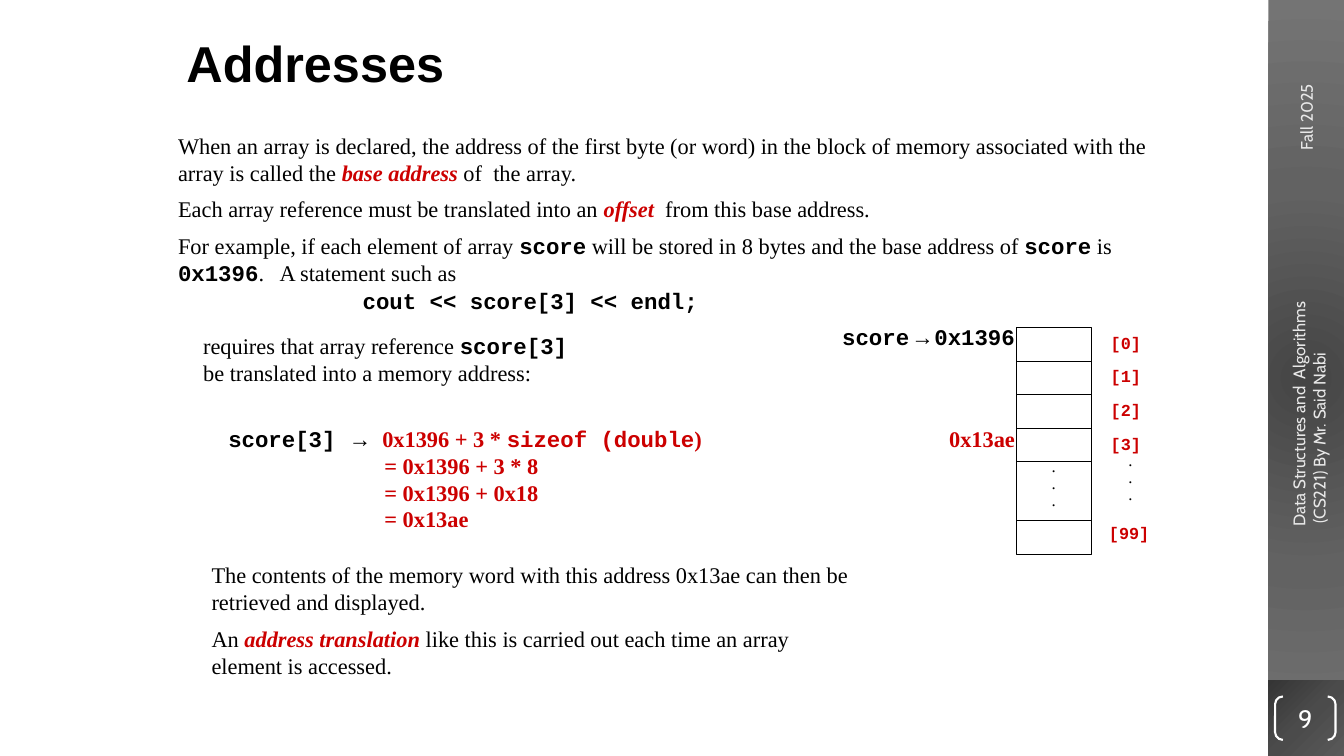
import pptx
import pptx.dml.color
import pptx.enum.shapes
import pptx.enum.text
import pptx.oxml
import pptx.oxml.ns
import pptx.util

Pt = pptx.util.Pt
Align = pptx.enum.text.PP_ALIGN
Anchor = pptx.enum.text.MSO_ANCHOR
Shape = pptx.enum.shapes.MSO_SHAPE

BLACK, RED, WHITE, PALE = "000000", "CC0000", "FFFFFF", "E8E8E8"
PLAIN = {"name": "Times New Roman", "size": Pt(16), "bold": False, "italic": False, "colour": BLACK}
CODE = {**PLAIN, "name": "Courier New", "bold": True}
TERM = {**PLAIN, "bold": True, "italic": True, "colour": RED}
RESULT = {**PLAIN, "bold": True, "colour": RED}
RESULT_CODE = {**CODE, "colour": RED}
INDEX = {**RESULT_CODE, "size": Pt(12)}
DOT = {**PLAIN, "size": Pt(12)}
ARROW = {**PLAIN, "name": "Arial"}
HEADING = {**PLAIN, "name": "Arial", "size": Pt(36), "bold": True}
SIDE = {**PLAIN, "name": "Cabin", "size": Pt(12), "colour": PALE}
NUMBER = {**SIDE, "size": Pt(18), "colour": WHITE}

CELL_LEFT, CELL_WIDTH, CELL_HEIGHT = 726, 54, 24
MEMORY_TOP, MEMORY_HEIGHT = 234, 162


def colour(value):
    return pptx.dml.color.RGBColor.from_string(value)


def place(box, left, top, width, height):
    for name, value in {"left": left, "top": top, "width": width, "height": height}.items():
        setattr(box, name, Pt(value))


def write(frame, paragraphs, align=Align.LEFT, gap=0, margins=None):
    frame.word_wrap = True
    for position, spans in enumerate(paragraphs):
        para = frame.paragraphs[0] if position == 0 else frame.add_paragraph()
        properties = para._p.get_or_add_pPr()
        properties.set("marL", str(Pt(margins[position] if margins else 0)))
        properties.set("indent", "0")
        properties.append(pptx.oxml.parse_xml(f"<a:buNone {pptx.oxml.ns.nsdecls('a')}/>"))
        para.alignment = align
        para.space_before = Pt(gap if position else 0)
        for text, style in spans:
            if text == "\n":
                para.add_line_break()
                continue
            span = para.add_run()
            span.text = text
            for name, value in style.items():
                if name == "colour":
                    span.font.color.rgb = colour(value)
                else:
                    setattr(span.font, name, value)


def fill_placeholder(box, area, paragraphs, gap=0):
    place(box, *area)
    box.text_frame.auto_size = pptx.enum.text.MSO_AUTO_SIZE.NONE
    box.text_frame.vertical_anchor = Anchor.TOP
    write(box.text_frame, paragraphs, gap=gap)


def add_text(parent, area, paragraphs, rotation=0, **layout):
    box = parent.shapes.add_textbox(*map(Pt, area))
    box.rotation = rotation
    write(box.text_frame, paragraphs, **layout)


def add_outline(parent, kind, area, line, weight):
    box = parent.shapes.add_shape(kind, *map(Pt, area))
    box.shadow.inherit = False
    box.fill.background()
    box.line.color.rgb = colour(line)
    box.line.width = Pt(weight)
    return box


def add_divider(parent, top):
    line = parent.shapes.add_connector(
        pptx.enum.shapes.MSO_CONNECTOR.STRAIGHT,
        Pt(CELL_LEFT), Pt(top), Pt(CELL_LEFT + CELL_WIDTH), Pt(top))
    line.line.color.rgb = colour(BLACK)
    line.line.width = Pt(0.75)
    line._element.spPr.append(pptx.oxml.parse_xml(f"<a:effectLst {pptx.oxml.ns.nsdecls('a')}/>"))


def add_radial_panel(page, area, shades, focus):
    panel = page.shapes.add_shape(Shape.RECTANGLE, *map(Pt, area))
    panel.shadow.inherit = False
    panel.line.fill.background()
    panel.fill.background()
    stops = "".join(f'<a:gs pos="{position}"><a:srgbClr val="{shade}"/></a:gs>'
                    for position, shade in zip((0, 50000, 100000), shades))
    edges = " ".join(f'{side}="{value * 1000}"' for side, value in zip("ltrb", focus))
    gradient = pptx.oxml.parse_xml(
        f"<a:gradFill {pptx.oxml.ns.nsdecls('a')} rotWithShape=\"1\"><a:gsLst>{stops}</a:gsLst>"
        f'<a:path path="circle"><a:fillToRect {edges}/></a:path></a:gradFill>')
    properties = panel._element.spPr
    properties.replace(properties.find(pptx.oxml.ns.qn("a:noFill")), gradient)


def add_sidebar(page):
    add_radial_panel(page, (906, 0, 54, 540), ("454545", "626262", "747474"), (50, 50, 50, 50))
    add_radial_panel(page, (906, 486, 54, 54), ("353535", "4B4B4B", "595959"), (0, 0, 100, 100))
    add_text(page, (882, 52.6, 102, 21.6), [[("Fall 2025", SIDE)]], rotation=270)
    add_text(page, (838.8, 269.3, 192.2, 36),
             [[("Data Structures and  Algorithms", SIDE)], [(" (CS221) By Mr. Said Nabi", SIDE)]],
             rotation=270)
    bracket = add_outline(page, Shape.DOUBLE_BRACKET, (910.8, 497.5, 43.2, 31), WHITE, 1.5)
    bracket.adjustments[0] = 0.18
    frame = bracket.text_frame
    frame.vertical_anchor = Anchor.MIDDLE
    for side in ("left", "top", "right", "bottom"):
        setattr(frame, f"margin_{side}", 0)
    write(frame, [[("9", NUMBER)]], align=Align.CENTER)


def add_memory(page):
    memory = page.shapes.add_group_shape()
    add_outline(memory, Shape.RECTANGLE, (CELL_LEFT, MEMORY_TOP, CELL_WIDTH, MEMORY_HEIGHT), BLACK, 0.75)
    for index in range(4):
        top = MEMORY_TOP + index * CELL_HEIGHT
        add_divider(memory, top + CELL_HEIGHT)
        add_text(memory, (CELL_LEFT, top, 96, 21.6), [[(f"[{index}]", INDEX)]], align=Align.RIGHT)
    add_divider(memory, MEMORY_TOP + MEMORY_HEIGHT - CELL_HEIGHT)
    add_text(memory, (720, 369.5, 108, 21.6), [[("[99]", INDEX)]], align=Align.RIGHT)
    for left, top, align in ((792, 318, Align.RIGHT), (744, 322, Align.LEFT)):
        for step in range(3):
            add_text(memory, (left, top + 12 * step, 24, 21.6), [[(".", DOT)]], align=align)
    base = [("score", CODE), (" ", {**CODE, "size": Pt(8)}), ("→", CODE),
            (" ", {**CODE, "size": Pt(6)}), ("0x1396", CODE)]
    add_text(memory, (552, 227, 180, 26.6), [base], align=Align.RIGHT)
    add_text(page, (642, 300, 90, 26.6), [[("0x13ae", RESULT)]], align=Align.RIGHT)


def add_explanation(page):
    fill_placeholder(page.placeholders[1], (120, 90.7, 720, 119), [
        [("When an array is declared, the address of the first byte (or word) in the block of memory "
          "associated with the array is called the ", PLAIN),
         ("base address", TERM), (" of  the array.", PLAIN)],
        [("Each array reference must be translated into an ", PLAIN),
         ("offset", TERM), ("  from this base address.", PLAIN)],
        [("For example, if each element of array ", PLAIN), ("score", CODE),
         (" will be stored in 8 bytes and the base address of ", PLAIN), ("score", CODE),
         (" is ", PLAIN), ("0x1396", CODE), (".   A statement such as", PLAIN)],
    ], gap=7)
    add_text(page, (252, 201.6, 414, 26.6), [[("cout << score[3] << endl;", CODE)]])
    add_text(page, (138, 234, 384, 46), [
        [("requires that array reference ", PLAIN), ("score[3]", CODE), ("\n", PLAIN),
         ("be translated into a memory address:", PLAIN)]])
    add_text(page, (156, 300, 138, 26.6), [[("score[3] ", CODE), ("→", ARROW)]])
    steps = ("= 0x1396 + 3 * 8", "= 0x1396 + 0x18", "= 0x13ae")
    add_text(page, (150, 300, 456, 85), [
        [("0x1396 + 3 * ", RESULT), ("sizeof (double", RESULT_CODE), (")", RESULT)],
        *[[(step, RESULT)] for step in steps],
    ], margins=(116, 117.5, 117.5, 117.5))
    add_text(page, (144, 397.4, 480, 92), [
        [("The contents of the memory word with this address 0x13ae can then be "
          "retrieved and displayed.", PLAIN)],
        [("An ", PLAIN), ("address translation", TERM),
         (" like this is carried out each time an array element is accessed.", PLAIN)],
    ], gap=7)


def main():
    deck = pptx.Presentation()
    deck.slide_width, deck.slide_height = Pt(960), Pt(540)
    page = deck.slides.add_slide(deck.slide_layouts[1])
    add_sidebar(page)
    fill_placeholder(page.shapes.title, (126, 24, 612, 60), [[("Addresses", HEADING)]])
    page.shapes.title.text_frame.paragraphs[0].line_spacing = 0.9
    add_explanation(page)
    add_memory(page)
    deck.save("out.pptx")


if __name__ == "__main__":
    main()
